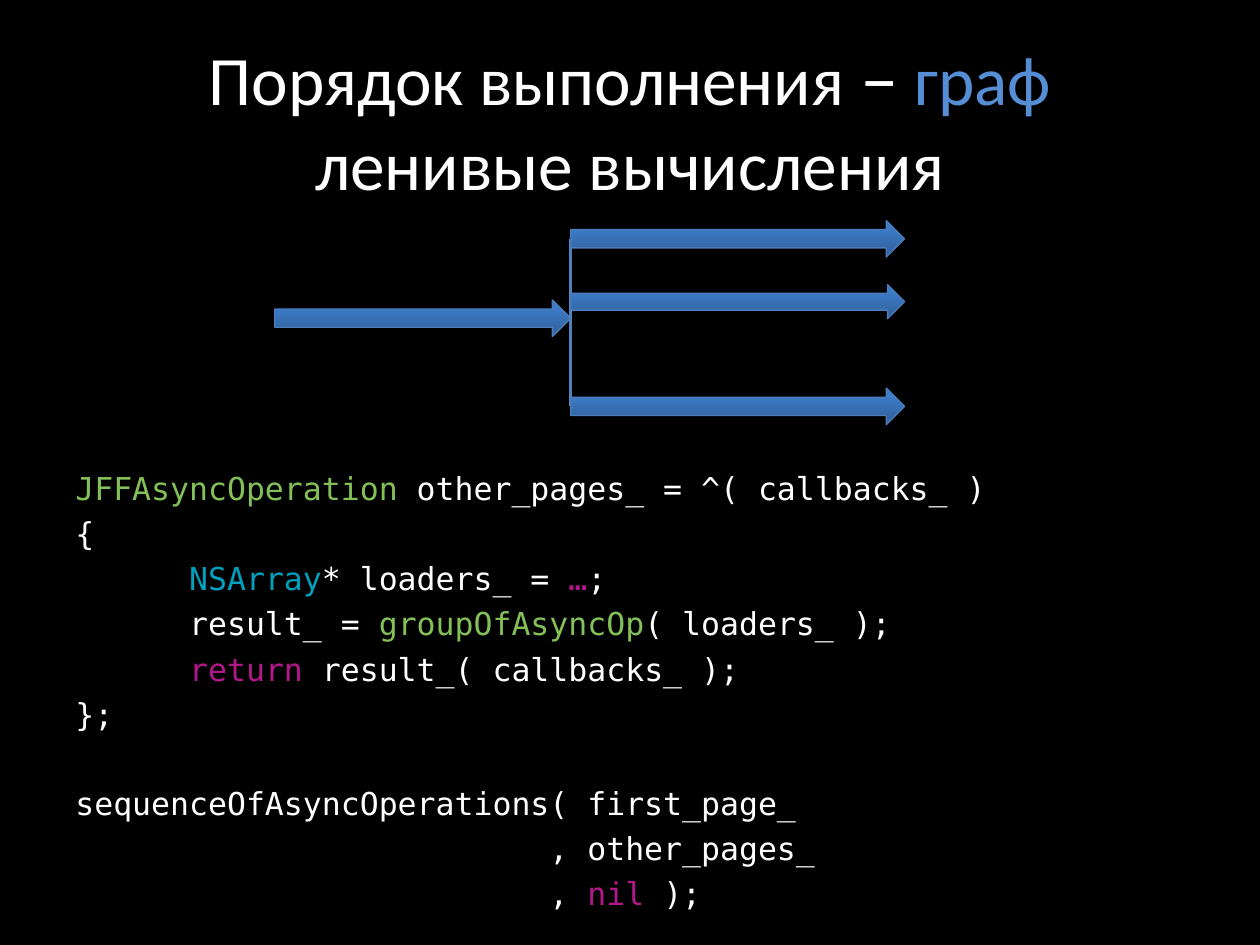
from copy import deepcopy

from pptx import Presentation
from pptx.dml.color import RGBColor
from pptx.enum.shapes import MSO_CONNECTOR, MSO_SHAPE
from pptx.enum.text import MSO_ANCHOR, PP_ALIGN
from pptx.oxml.ns import qn
from pptx.oxml.xmlchemy import OxmlElement
from pptx.util import Pt

WHITE, BLUE = "FFFFFF", "558ED5"
GREEN, CYAN, PINK = "83C057", "00A0BE", "B21889"

# Content: lines of (text, colour) runs
TITLE = [
    [("Порядок выполнения ", WHITE), ("–", WHITE), (" граф", BLUE)],
    [("ленивые вычисления", WHITE)],
]
TITLE_SIZE, DASH_SIZE = 39.6, 44.1

DEFINITION = [
    [("JFFAsyncOperation ", GREEN), ("other_pages_ = ^( callbacks_ )", WHITE)],
    [("{", WHITE)],
    [("      ", WHITE), ("NSArray", CYAN), ("* loaders_ = ", WHITE), ("…", PINK), (";", WHITE)],
    [("      result_ = ", WHITE), ("groupOfAsyncOp", GREEN), ("( loaders_ );", WHITE)],
    [("      ", WHITE), ("return ", PINK), ("result_( callbacks_ );", WHITE)],
    [("};", WHITE)],
]
CALL = [
    [("sequenceOfAsyncOperations( first_page_", WHITE)],
    [("                         , other_pages_", WHITE)],
    [("                         , ", WHITE), ("nil", PINK), (" );", WHITE)],
]
LINE_GAP, BLOCK_GAP = 4.2, 29.3

# Graph: one arrow leads to a fork, three arrows leave it (top, height)
FORK_X = 326.1
INCOMING = (157, 171.4, FORK_X - 157, 20.9)
BRANCHES = [(126, 20.9), (162.7, 19.4), (221.8, 20.9)]
BRANCH_WIDTH = 190.8
GRADIENT = [(0, "2F5F99"), (0.8, "3D7CC7"), (1, "3A7CCB")]


def color(value):
    return RGBColor.from_string(value)


def add_run(paragraph, text, size, font, value):
    run = paragraph.add_run()
    run.text = text
    run.font.size = Pt(size)
    run.font.name = font
    run.font.color.rgb = color(value)


def add_text_box(slide, *box):
    frame = slide.shapes.add_textbox(*map(Pt, box)).text_frame
    frame.word_wrap = True
    return frame


def add_arrow(slide, *box):
    shape = slide.shapes.add_shape(MSO_SHAPE.RIGHT_ARROW, *map(Pt, box))
    shape.shadow.inherit = False
    shape.line.color.rgb = color("4B7EBC")
    shape.line.width = Pt(0.75)
    shape.fill.gradient()
    shape.fill.gradient_angle = 90
    # A new gradient has two stops; a third is needed
    stop_list = shape._element.spPr.find(".//" + qn("a:gsLst"))
    stop_list.append(deepcopy(stop_list[-1]))
    for stop, (position, value) in zip(shape.fill.gradient_stops, GRADIENT):
        stop.position = position
        stop.color.rgb = color(value)
    return shape


presentation = Presentation()
presentation.slide_width, presentation.slide_height = Pt(720), Pt(540)
slide = presentation.slides.add_slide(presentation.slide_layouts[6])
slide.background.fill.solid()
slide.background.fill.fore_color.rgb = color("000000")

# Title
frame = add_text_box(slide, 36, 21.6, 648, 90)
frame.vertical_anchor = MSO_ANCHOR.MIDDLE
paragraph = frame.paragraphs[0]
paragraph.alignment = PP_ALIGN.CENTER
for index, line in enumerate(TITLE):
    if index:
        paragraph.add_line_break()
    for text, value in line:
        size = DASH_SIZE if text == "–" else TITLE_SIZE
        add_run(paragraph, text, size, "Calibri", value)

# Code
frame = add_text_box(slide, 36, 264.5, 648, 255.3)
for index, line in enumerate(DEFINITION + CALL):
    paragraph = frame.add_paragraph() if index else frame.paragraphs[0]
    if index:
        paragraph.space_before = Pt(BLOCK_GAP if index == len(DEFINITION) else LINE_GAP)
    for text, value in line:
        add_run(paragraph, text, 18, "DejaVu Sans Mono", value)

# Execution graph
add_arrow(slide, *INCOMING)
fork = slide.shapes.add_connector(MSO_CONNECTOR.STRAIGHT, Pt(FORK_X), Pt(136), Pt(FORK_X), Pt(232))
fork.line.color.rgb = color("4F81BD")
fork.line.width = Pt(2)
fork._element.spPr.append(OxmlElement("a:effectLst"))
branches = [add_arrow(slide, FORK_X, top, BRANCH_WIDTH, height) for top, height in BRANCHES]
fork.begin_connect(branches[0], 1)
fork.end_connect(branches[-1], 1)

presentation.save("out.pptx")
